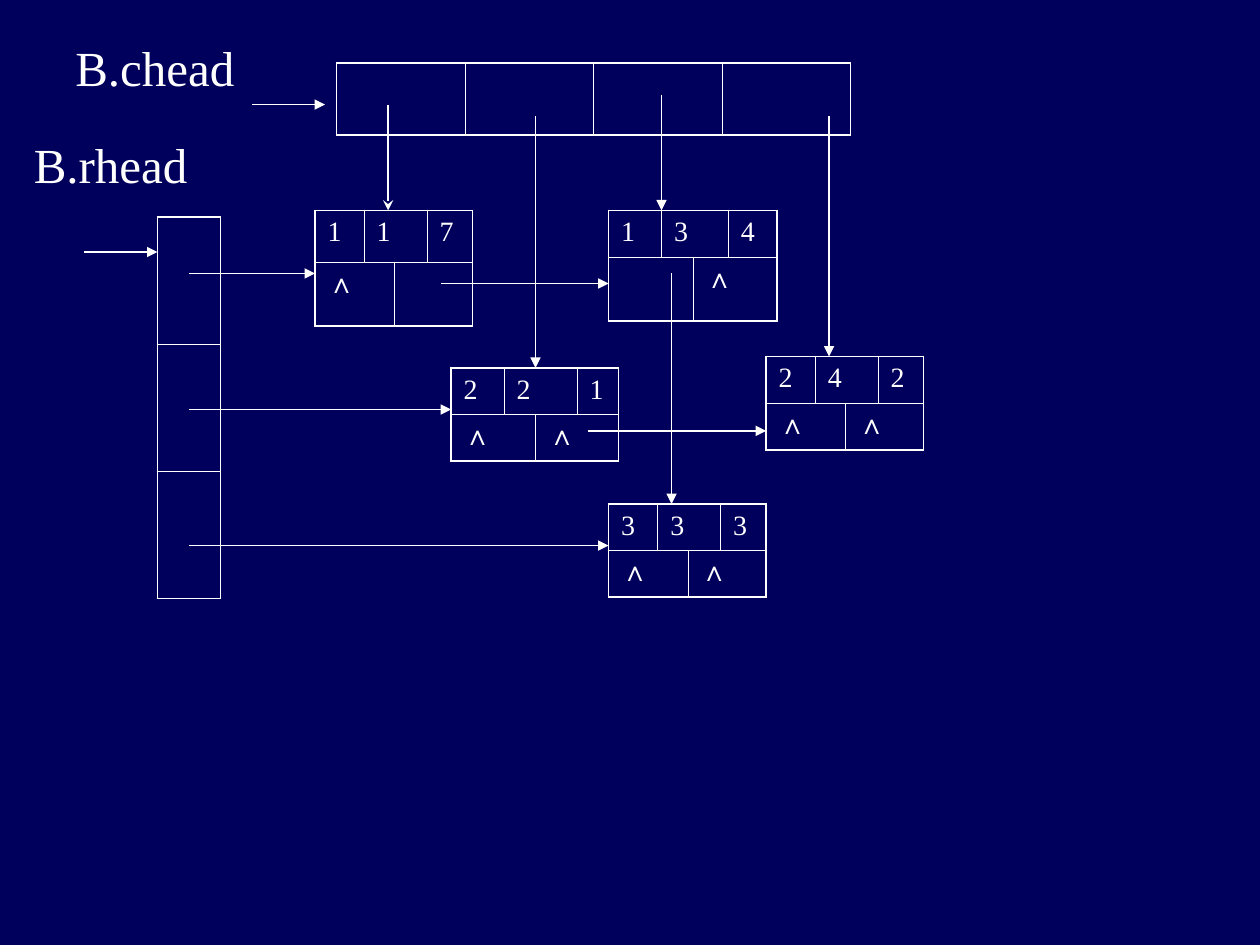
import lxml.etree
import pptx
import pptx.dml.color
import pptx.enum.shapes
import pptx.oxml.ns
import pptx.util

Inches = pptx.util.Inches
Pt = pptx.util.Pt
qn = pptx.oxml.ns.qn
NAVY = pptx.dml.color.RGBColor(0x00, 0x00, 0x5C)
WHITE = pptx.dml.color.RGBColor(0xFF, 0xFF, 0xFF)
OUTER, INNER = Pt(1.08), Pt(0.45)


def write(para, text, size):
    span = para.add_run()
    span.text = text
    formats = {"name": "Times New Roman", "size": Pt(size), "bold": False}
    for name, value in formats.items():
        setattr(span.font, name, value)
    span.font.color.rgb = WHITE


def draw_grid(page, left, top, columns, rows, entries):
    """Add an unfilled white grid; entries maps (row, column) to (text, columns spanned)."""
    frame = page.shapes.add_table(len(rows), len(columns), Inches(left), Inches(top),
                                  Inches(sum(columns)), Inches(sum(rows)))
    table = frame.table
    table.first_row = table.horz_banding = False
    for column, width in zip(table.columns, columns):
        column.width = Inches(width)
    for row, height in zip(table.rows, rows):
        row.height = Inches(height)
    for (r, c), (text, width) in entries.items():
        cell = table.cell(r, c)
        if width > 1:
            cell.merge(table.cell(r, c + width - 1))
        on_edge = {"lnL": c == 0, "lnR": c + width == len(columns),
                   "lnT": r == 0, "lnB": r + 1 == len(rows)}
        properties = cell._tc.get_or_add_tcPr()
        for tag, outside in on_edge.items():
            border = lxml.etree.SubElement(properties, qn("a:" + tag),
                                           w=str(int(OUTER if outside else INNER)))
            fill = lxml.etree.SubElement(border, qn("a:solidFill"))
            lxml.etree.SubElement(fill, qn("a:srgbClr"), val=str(WHITE))
        cell.fill.background()
        para = cell.text_frame.paragraphs[0]
        if text:
            write(para, text, 16)
        else:
            lxml.etree.SubElement(para._p, qn("a:endParaRPr"), sz="2400")


deck = pptx.Presentation()
deck.slide_width, deck.slide_height = Inches(10), Inches(7.5)
page = deck.slides.add_slide(deck.slide_layouts[6])
page.background.fill.solid()
page.background.fill.fore_color.rgb = NAVY

# Head arrays of the column lists and the row lists
draw_grid(page, 2.67, 0.5, [1.02] * 4, [0.57], {(0, c): ("", 1) for c in range(4)})
draw_grid(page, 1.25, 1.72, [0.5], [1.01] * 3, {(r, 0): ("", 1) for r in range(3)})

# Nodes: row, column and value above the down and right links
NARROW = [0.39, 0.24, 0.26, 0.36]
nodes = [
    (2.5, 1.67, NARROW, 0.41, "117", ("∧", "")),
    (4.83, 1.67, [0.42, 0.25, 0.28, 0.39], 0.37, "134", ("", "∧")),
    (3.58, 2.92, [0.42, 0.25, 0.33, 0.33], 0.37, "221", ("∧", "∧")),
    (6.08, 2.83, NARROW, 0.37, "242", ("∧", "∧")),
    (4.83, 4, NARROW, 0.37, "333", ("∧", "∧")),
]
for left, top, columns, first_height, (row, column, value), (down, right) in nodes:
    draw_grid(page, left, top, columns, [first_height, 0.37], {
        (0, 0): (row, 1), (0, 1): (column, 2), (0, 3): (value, 1),
        (1, 0): (down, 2), (1, 2): (right, 2),
    })

for left, top, text in [(0.5, 0.25, "B.chead"), (0.17, 1.02, "B.rhead")]:
    box = page.shapes.add_textbox(Inches(left), Inches(top), Inches(1.58), Inches(0.57))
    box.text_frame.word_wrap = True
    write(box.text_frame.paragraphs[0], text, 28)

# Links, each as start x, start y, end x, end y, arrowhead
arrows = [
    (2, 0.83, 2.58, 0.83, "triangle"),
    (0.67, 2, 1.25, 2, "triangle"),
    (3.08, 0.83, 3.08, 1.67, "stealth"),
    (4.25, 0.92, 4.25, 2.92, "triangle"),
    (5.25, 0.75, 5.25, 1.67, "triangle"),
    (6.58, 0.92, 6.58, 2.83, "triangle"),
    (5.33, 2.17, 5.33, 4, "triangle"),
    (1.5, 2.17, 2.5, 2.17, "triangle"),
    (3.5, 2.25, 4.83, 2.25, "triangle"),
    (1.5, 3.25, 3.58, 3.25, "triangle"),
    (4.67, 3.42, 6.08, 3.42, "triangle"),
    (1.5, 4.33, 4.83, 4.33, "triangle"),
]
for *ends, head in arrows:
    arrow = page.shapes.add_connector(pptx.enum.shapes.MSO_CONNECTOR.STRAIGHT,
                                      *[Inches(value) for value in ends])
    arrow.line.color.rgb = WHITE
    arrow.line.width = Pt(0.75)
    lxml.etree.SubElement(arrow.line._get_or_add_ln(), qn("a:tailEnd"), type=head)
    lxml.etree.SubElement(arrow._element.spPr, qn("a:effectLst"))

deck.save("out.pptx")
